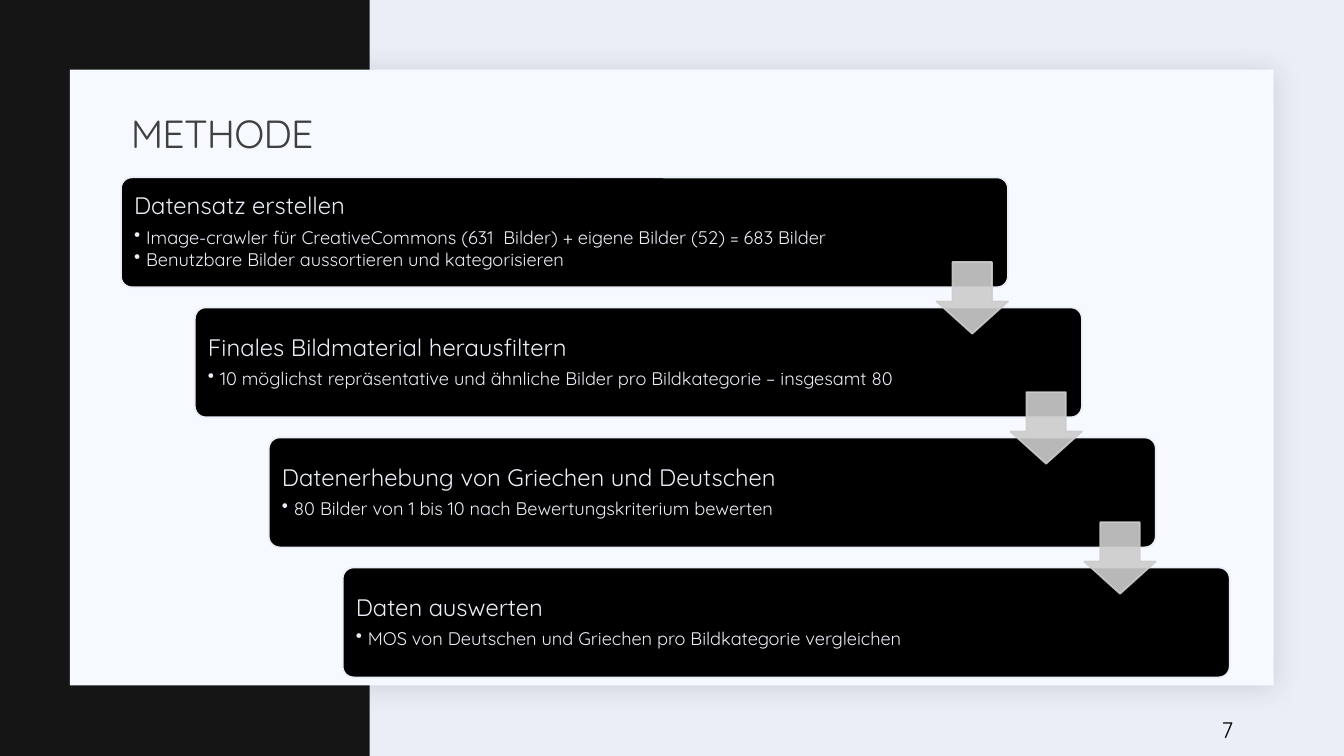
from dataclasses import dataclass

from lxml import etree
from pptx import Presentation, util as u
from pptx.dml import color
from pptx.enum import shapes, text
from pptx.oxml import ns

COLUMNS, ROWS = 40, 30
WIDTH, HEIGHT = u.Inches(40 / 3), u.Inches(7.5)

CARD_LEFT, CARD_TOP = 3.6, 7.04
CARD_WIDTH, CARD_HEIGHT = 26.4, 4.36
STEP_RIGHT, STEP_DOWN = 2.2, 5.16
ARROW_WIDTH, ARROW_HEIGHT = 2.13, 2.84
ARROW_DROP = 3.36


@dataclass(frozen=True)
class Theme:
    font: str = "Quicksand"
    background: str = "ECEEF7"
    side: str = "141514"
    panel: str = "F6F9FF"
    shadow: str = "1F2125"
    card: str = "000000"
    card_text: str = "ECEEF7"
    arrow: str = "CCCCCC"
    title: str = "404040"
    number: str = "000000"
    title_size: int = 28
    heading_size: int = 17
    bullet_size: int = 13
    number_size: int = 16
    line_width: float = 1.25


THEME = Theme()

STEPS = [
    ("Datensatz erstellen", [
        "Image-crawler für CreativeCommons (631  Bilder) + eigene Bilder (52) = 683 Bilder",
        "Benutzbare Bilder aussortieren und kategorisieren",
    ]),
    ("Finales Bildmaterial herausfiltern", [
        "10 möglichst repräsentative und ähnliche Bilder pro Bildkategorie – insgesamt 80",
    ]),
    ("Datenerhebung von Griechen und Deutschen", [
        "80 Bilder von 1 bis 10 nach Bewertungskriterium bewerten",
    ]),
    ("Daten auswerten", [
        "MOS von Deutschen und Griechen pro Bildkategorie vergleichen",
    ]),
]


def grid(left, top, width, height):
    """Turn columns and rows into slide lengths."""
    column, row = WIDTH / COLUMNS, HEIGHT / ROWS
    return [u.Emu(round(n * size)) for n, size in
            ((left, column), (top, row), (width, column), (height, row))]


def set_format(target, values):
    for name, value in values.items():
        setattr(target, name, value)


def add_element(parent, tag, **attributes):
    return etree.SubElement(parent, ns.qn(tag), **attributes)


def add_shape(slide, kind, box, fill, line=None, adjustments=()):
    shape = slide.shapes.add_shape(kind, *grid(*box))
    shape.shadow.inherit = False
    shape.fill.solid()
    shape.fill.fore_color.rgb = color.RGBColor.from_string(fill)
    if line:
        shape.line.color.rgb = color.RGBColor.from_string(line)
        shape.line.width = u.Pt(THEME.line_width)
    else:
        shape.line.fill.background()
    for index, value in enumerate(adjustments):
        shape.adjustments[index] = value
    return shape


def add_run(paragraph, words, size, rgb):
    run = paragraph.add_run()
    run.text = words
    set_format(run.font, {"name": THEME.font, "size": u.Pt(size)})
    run.font.color.rgb = color.RGBColor.from_string(rgb)
    return run


def add_label(slide, box, words, size, rgb):
    frame = slide.shapes.add_textbox(*grid(*box)).text_frame
    set_format(frame, {"word_wrap": True, "vertical_anchor": text.MSO_ANCHOR.MIDDLE})
    frame.paragraphs[0].line_spacing = 0.9
    return add_run(frame.paragraphs[0], words, size, rgb)


def add_panel(slide):
    panel = add_shape(slide, shapes.MSO_SHAPE.RECTANGLE, (2.08, 2.76, 35.83, 24.44), THEME.panel)
    effects = panel._element.spPr.find(ns.qn("a:effectLst"))
    shadow = add_element(effects, "a:outerShdw", blurRad=str(u.Pt(20)), dist=str(u.Pt(2)),
                         dir="2700000", algn="tl", rotWithShape="0")
    shade = add_element(shadow, "a:srgbClr", val=THEME.shadow)
    add_element(shade, "a:alpha", val="15000")


def set_spacing(paragraph, percent_after):
    """Tighten lines and set the space after as a share of the type size."""
    set_format(paragraph, {"alignment": text.PP_ALIGN.LEFT, "line_spacing": 0.9})
    properties = paragraph._p.get_or_add_pPr()
    after = add_element(properties, "a:spcAft")
    add_element(after, "a:spcPct", val=str(percent_after * 1000))
    return properties


def add_card(slide, left, top, heading, bullets):
    card = add_shape(slide, shapes.MSO_SHAPE.ROUNDED_RECTANGLE,
                     (left, top, CARD_WIDTH, CARD_HEIGHT),
                     THEME.card, THEME.background, [0.1])
    frame = card.text_frame
    inset = u.Inches(0.1)
    set_format(frame, {"word_wrap": True, "vertical_anchor": text.MSO_ANCHOR.MIDDLE,
                       "margin_left": inset, "margin_right": inset,
                       "margin_top": inset, "margin_bottom": inset})
    set_spacing(frame.paragraphs[0], 35)
    add_run(frame.paragraphs[0], heading, THEME.heading_size, THEME.card_text)
    for words in bullets:
        paragraph = frame.add_paragraph()
        paragraph.level = 1
        properties = set_spacing(paragraph, 15)
        indent = u.Inches(0.12)
        properties.set("marL", str(indent))
        properties.set("indent", str(-indent))
        add_element(properties, "a:buChar", char="•")
        add_run(paragraph, words, THEME.bullet_size, THEME.card_text)


def add_arrow(slide, left, top):
    arrow = add_shape(slide, shapes.MSO_SHAPE.DOWN_ARROW,
                      (left, top, ARROW_WIDTH, ARROW_HEIGHT),
                      THEME.arrow, THEME.arrow, [0.55, 0.45])
    for shade in arrow._element.spPr.iter(ns.qn("a:srgbClr")):
        add_element(shade, "a:alpha", val="90000")


def main():
    presentation = Presentation()
    set_format(presentation, {"slide_width": WIDTH, "slide_height": HEIGHT})
    slide = presentation.slides.add_slide(presentation.slide_layouts[6])
    slide.background.fill.solid()
    slide.background.fill.fore_color.rgb = color.RGBColor.from_string(THEME.background)

    add_shape(slide, shapes.MSO_SHAPE.RECTANGLE, (0, 0, 11, ROWS), THEME.side)
    add_panel(slide)

    corners = [(CARD_LEFT + i * STEP_RIGHT, CARD_TOP + i * STEP_DOWN)
               for i in range(len(STEPS))]
    for (left, top), (heading, bullets) in zip(corners, STEPS):
        add_card(slide, left, top, heading, bullets)
    for left, top in corners[:-1]:
        add_arrow(slide, left + CARD_WIDTH - ARROW_WIDTH, top + ARROW_DROP)

    title = add_label(slide, (CARD_LEFT, 4.12, 33, 2.56), "METHODE",
                      THEME.title_size, THEME.title)
    title._r.get_or_add_rPr().set("spc", "-50")
    add_label(slide, (36.06, 28.2, 2.55, 1.6), "7", THEME.number_size, THEME.number)

    presentation.save("out.pptx")


if __name__ == "__main__":
    main()
